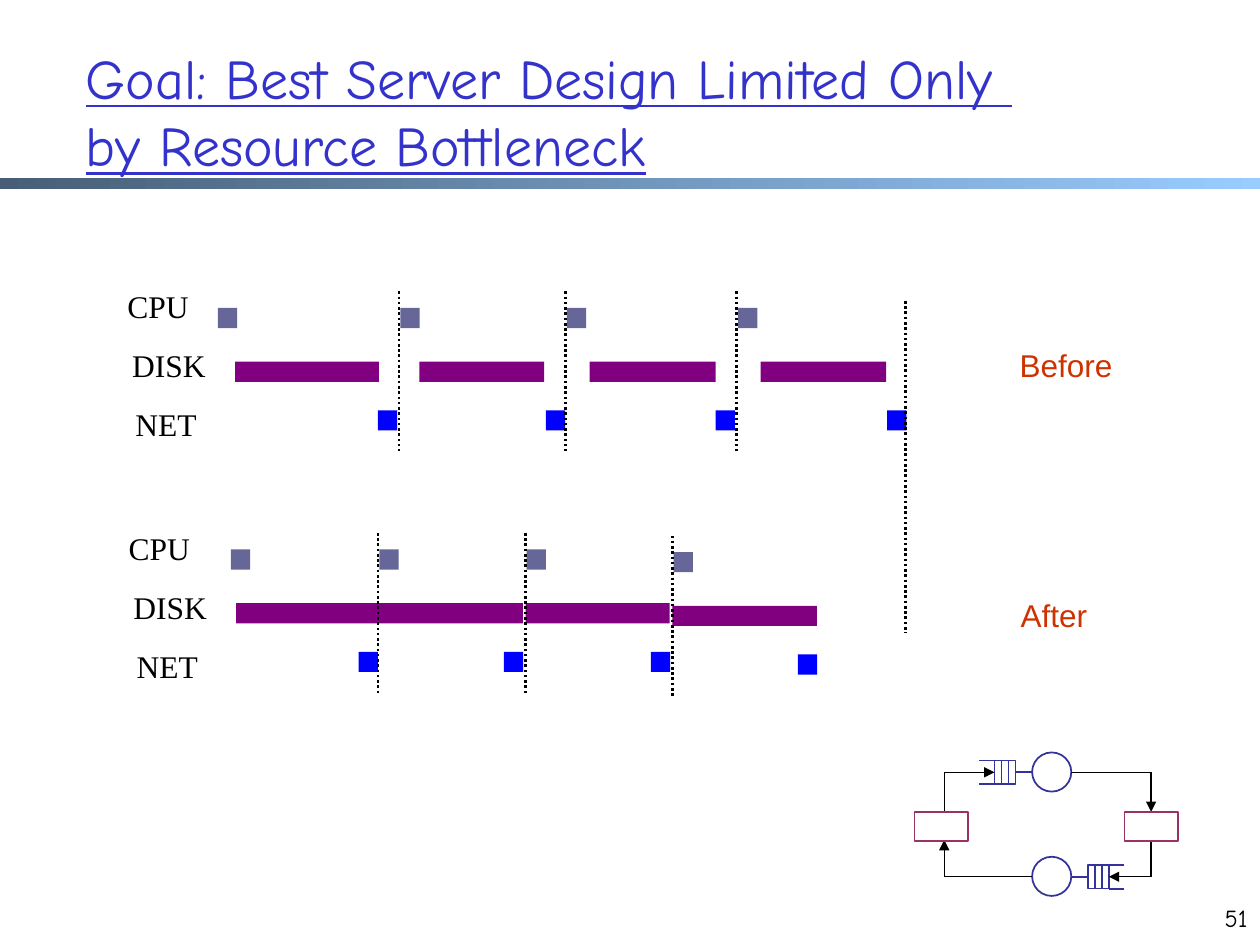
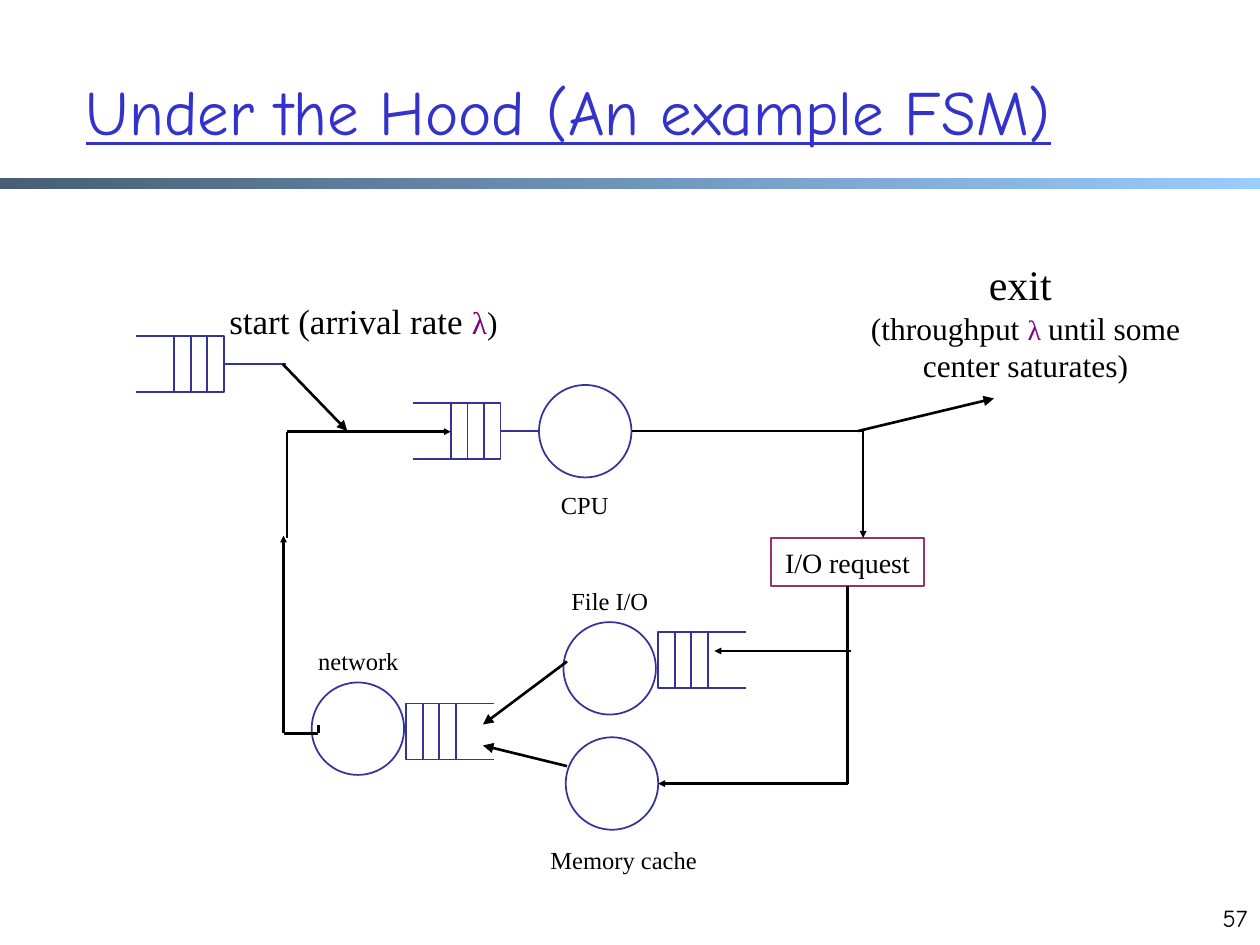
from dataclasses import dataclass
from itertools import pairwise

from lxml import etree
from pptx import Presentation
from pptx.dml.color import RGBColor
from pptx.enum import dml, shapes, text
from pptx.oxml.ns import qn
from pptx.util import Pt


@dataclass(frozen=True)
class Theme:
    sans: str = "Arial"
    serif: str = "Times New Roman"
    hand: str = "Comic Neue"
    black: str = "000000"
    white: str = "FFFFFF"
    title: str = "3333CC"
    dark: str = "475E76"
    light: str = "99CCFF"
    queue: str = "333399"
    frame: str = "993366"
    cpu: str = "666699"
    disk: str = "800080"
    net: str = "0000FF"
    phase: str = "CC3300"
    small: int = 14
    mid: int = 16
    body: int = 18
    large: int = 20
    huge: int = 24


theme = Theme()
rgb = RGBColor.from_string
rect = shapes.MSO_SHAPE.RECTANGLE
oval = shapes.MSO_SHAPE.OVAL
left, mid, right = text.PP_ALIGN.LEFT, text.PP_ALIGN.CENTER, text.PP_ALIGN.RIGHT
top, middle = text.MSO_ANCHOR.TOP, text.MSO_ANCHOR.MIDDLE


def block(slide, box, kind=None, fill=None, line=None, paras=(), face=theme.serif,
          align=mid, anchor=top, wrap=False, under=None):
    box = [Pt(n) for n in box]
    if kind is None:
        shape = slide.shapes.add_textbox(*box)
    else:
        shape = slide.shapes.add_shape(kind, *box)
        shape.shadow.inherit = False
        shape.fill.solid()
        shape.fill.fore_color.rgb = rgb(fill)
        if line:
            shape.line.color.rgb = rgb(line)
            shape.line.width = Pt(1)
        else:
            shape.line.fill.background()
    frame = shape.text_frame
    frame.word_wrap = wrap
    frame.vertical_anchor = anchor
    for i, parts in enumerate(paras):
        para = frame.add_paragraph() if i else frame.paragraphs[0]
        para.alignment = align
        if len(parts) == 1:
            para.text = parts[0][0]
            spots = [para]
        else:
            spots = [para.add_run() for _ in parts]
            for run, part in zip(spots, parts):
                run.text = part[0]
        for spot, (_, size, color) in zip(spots, parts):
            font = spot.font
            font.name, font.size, font.underline = face, Pt(size), under
            font.color.rgb = rgb(color)
    return shape


def wire(slide, points, color=theme.black, width=1.5, head=None, dash=None):
    for start, end in pairwise(points):
        line = slide.shapes.add_connector(
            shapes.MSO_CONNECTOR.STRAIGHT, *[Pt(n) for n in (*start, *end)])
        line.line.color.rgb = rgb(color)
        line.line.width = Pt(width)
        if dash:
            line.line.dash_style = dash
        etree.SubElement(line._element.spPr, qn("a:effectLst"))
    if head:
        etree.SubElement(line.line._get_or_add_ln(), qn("a:tailEnd"),
                         type="triangle", w=head, len=head)


deck = Presentation()
deck.slide_width, deck.slide_height = Pt(720), Pt(540)
slides = []
for title, size, page in [
    ("Goal: Best Server Design Limited Only \nby Resource Bottleneck", 32, "51"),
    ("Under the Hood (An example FSM)", 36, "57"),
]:
    slide = deck.slides.add_slide(deck.slide_layouts[6])
    band = block(slide, (0, 101.7, 720, 6.2), rect, theme.dark)
    band.fill.gradient()
    band.fill.gradient_angle = 0
    for stop, color in zip(band.fill.gradient_stops, (theme.dark, theme.light)):
        stop.color.rgb = rgb(color)
    block(slide, (42, 18, 612, 90), paras=[[(title, size, theme.title)]],
          face=theme.hand, align=left, anchor=middle, wrap=True, under=True)
    block(slide, (684, 512.5, 36, 36), paras=[[(page, theme.small, theme.black)]],
          face=theme.hand, align=right, wrap=True)
    slides.append(slide)
goal, hood = slides

for slide, x, y, cell, high, tail, stem in [
    (goal, 568.3, 434.6, 4, 13.4, -8.6, 15),
    (goal, 621.6, 494.4, 4, 13.4, 8.6, -15),
    (hood, 257.6, 230.4, 9.5, 32, -21.6, 36),
    (hood, 376, 361.3, 9.5, 32, 21.6, 0),
    (hood, 99.5, 192, 9.5, 32, -21.6, 35.5),
    (hood, 232, 402, 9.5, 32, 21.6, 0),
]:
    for i in range(3):
        block(slide, (x + i * cell, y, cell, high), rect, theme.white, theme.queue)
    back, front = (x, x + 3 * cell) if tail < 0 else (x + 3 * cell, x)
    for edge in (y, y + high):
        wire(slide, [(back + tail, edge), (back, edge)], theme.queue, 1)
    if stem:
        axis = y + high / 2
        wire(slide, [(front, axis), (front + stem, axis)], theme.queue, 1)

for slide, x, y, size in [
    (goal, 589.8, 430, 22.4), (goal, 589.8, 489.6, 22.4),
    (hood, 308, 220, 52.8), (hood, 322, 355.5, 52.8),
    (hood, 323.3, 421.3, 52.8), (hood, 178.1, 390, 52.8),
]:
    block(slide, (x, y, size, size), oval, theme.white, theme.queue)

for points in [
    [(612.2, 441.3), (657.8, 441.3), (657.8, 464)],
    [(657.8, 481), (657.8, 501), (633.6, 501)],
    [(589.8, 501), (539.6, 501), (539.6, 480)],
    [(539.6, 464), (539.6, 441.3), (568.3, 441.3)],
]:
    wire(goal, points, width=0.75, head="med")
for x in (522.5, 642.5):
    block(goal, (x, 464, 30.7, 16.6), rect, theme.white, theme.frame)

names = [("CPU", 65.5, 49.7), ("DISK", 68.4, 56.2), ("NET", 70, 49.7)]
for phase, box, x0, y0, drops, jobs in [
    ("Before", (575.3, 194.4, 67.7, 28.8), 0, 176, (0, 0, 0, 0), [
        (124.5, 134.3, 82.3, 216), (228.8, 239.6, 71.3, 312),
        (324, 337, 72, 409), (421.8, 434.6, 71.8, 507)]),
    ("After", (576, 337, 52.6, 28.8), 0.7, 314, (0, 0, 0, 1.5), [
        (132, 135, 81, 205), (216.8, 216, 82.8, 288),
        (301, 300.4, 82.3, 372), (385, 384.3, 82.5, 456)]),
]:
    for i, (name, x, wide) in enumerate(names):
        block(goal, (x + x0, y0 - 15.4 + 33.8 * i, wide, 28.8),
              paras=[[(name, theme.body, theme.black)]])
    block(goal, box, paras=[[(phase, theme.body, theme.phase)]], face=theme.sans)
    for i, (job, drop) in enumerate(zip(jobs, drops)):
        cpu, disk, span, net = job
        y = y0 + drop
        for x, step, wide, color in [(cpu, 0, 11, theme.cpu), (disk, 30.7, span, theme.disk),
                                     (net, 58.5, 11, theme.net)]:
            block(goal, (x, y + step, wide, 11.5), rect, color)
        if i:
            x = cpu - 0.8
            wire(goal, [(x, y - 9.5), (x, y + 82)], dash=dml.MSO_LINE.ROUND_DOT)
wire(goal, [(517.6, 172), (517.6, 361.4)], dash=dml.MSO_LINE.ROUND_DOT)

block(hood, (440.6, 307.4, 87.4, 27.4), rect, theme.white, theme.frame,
      [[("I/O request", theme.mid, theme.black)]], anchor=middle)
for name, x, y, wide in [
    ("CPU", 313.2, 276.5, 41.8), ("File I/O", 319, 331.2, 59),
    ("network", 174.2, 365.8, 61.2), ("Memory cache", 306.7, 479.5, 99.4),
]:
    block(hood, (x, y, wide, 24), paras=[[(name, theme.small, theme.black)]])
block(hood, (121.7, 167.8, 172, 60), paras=[[
    ("start (arrival rate ", theme.large, theme.black), ("λ", theme.body, theme.disk),
    (")", theme.body, theme.black), (" ", theme.large, theme.black)]])
block(hood, (490.3, 144, 191.5, 113), paras=[
    [("exit ", theme.huge, theme.black)],
    [("(throughput ", theme.body, theme.black), ("λ ", theme.mid, theme.disk),
     ("until some", theme.body, theme.black)],
    [("center saturates)", theme.body, theme.black)]])

for points in [
    [(361, 246.3), (493.2, 246.3), (493.2, 307.4)],
    [(484.4, 334.8), (484.4, 372), (408.2, 372)],
    [(164, 307.4), (164, 246.7), (257.6, 246.7)],
    [(486, 372), (484.4, 372), (484.4, 447.8), (376.1, 447.8)],
    [(182, 414), (182, 419), (162, 419), (162, 306)],
]:
    wire(hood, points, head="sm")
for points in [
    [(490.4, 246.3), (568, 227.7)], [(161.5, 208), (198.5, 246.3)],
    [(324, 378), (276, 414)], [(324, 437.8), (276, 426)],
]:
    wire(hood, points, head="med")

deck.save("out.pptx")
